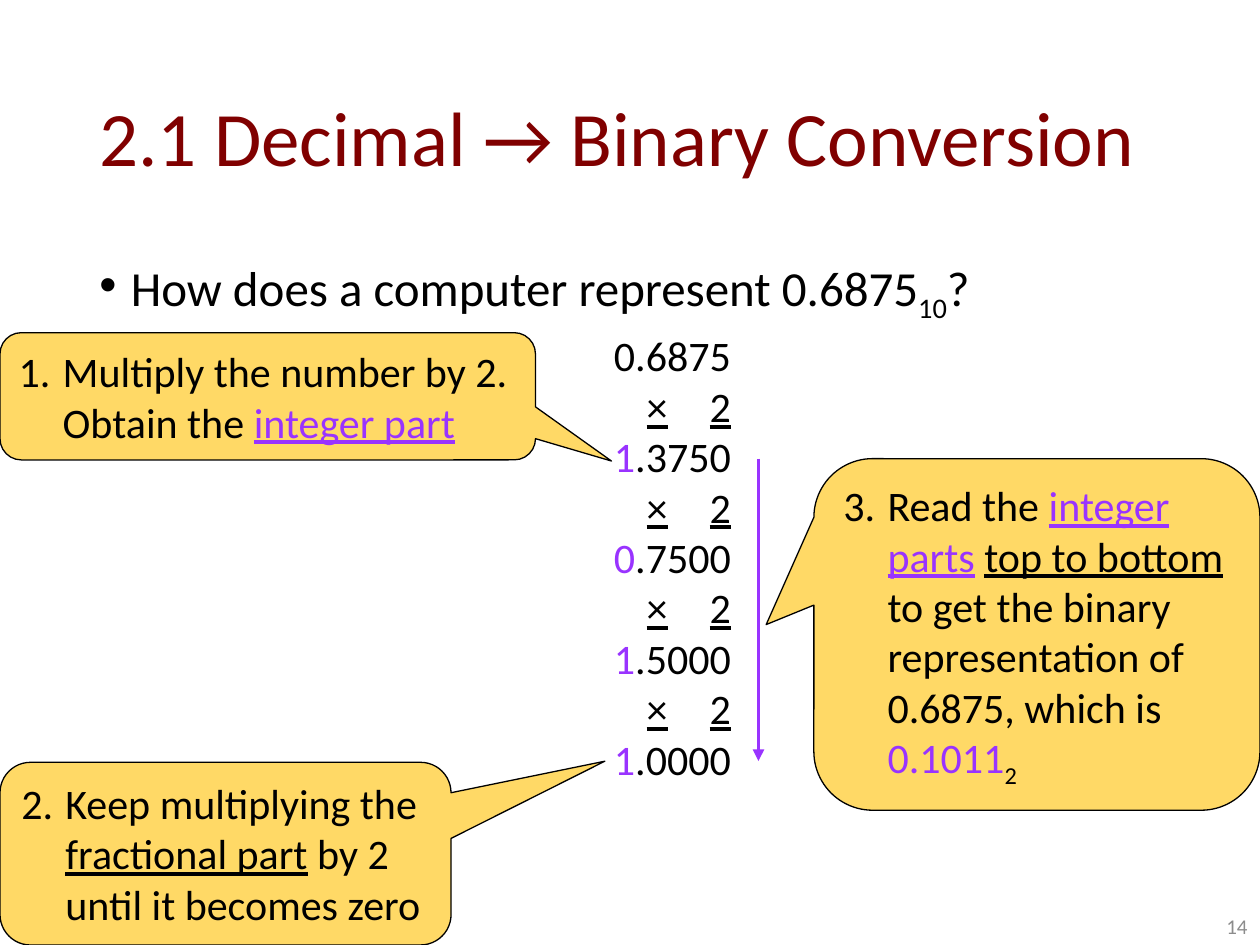
"""Build the slide on converting a decimal fraction to binary."""
from dataclasses import dataclass, field
from typing import NamedTuple

from lxml import etree
from pptx import Presentation
from pptx.dml.color import RGBColor
from pptx.enum.shapes import MSO_CONNECTOR, MSO_SHAPE
from pptx.enum.text import MSO_ANCHOR, MSO_AUTO_SIZE, PP_ALIGN
from pptx.oxml.ns import qn
from pptx.util import Inches, Pt

BLACK = RGBColor(0x00, 0x00, 0x00)
MAROON = RGBColor(0x80, 0x00, 0x00)
PURPLE = RGBColor(0x99, 0x33, 0xFF)
YELLOW = RGBColor(0xFF, 0xD9, 0x66)
GRAY = RGBColor(0x8C, 0x8C, 0x8C)
LEFT, RIGHT = PP_ALIGN.LEFT, PP_ALIGN.RIGHT
TOP, MIDDLE, BOTTOM = MSO_ANCHOR.TOP, MSO_ANCHOR.MIDDLE, MSO_ANCHOR.BOTTOM
CALLOUT, STRAIGHT = MSO_SHAPE.ROUNDED_RECTANGULAR_CALLOUT, MSO_CONNECTOR.STRAIGHT
NO_FIT = MSO_AUTO_SIZE.NONE

FONT = "Calibri"
COLUMNS, ROWS = 100, 75
CELL = Inches(0.1)


class Area(NamedTuple):
    """Left, top, width and height in grid cells."""
    column: float
    row: float
    columns: float
    rows: float

    def lengths(self) -> list[int]:
        """Convert the grid cells to slide lengths."""
        return [round(cells * CELL) for cells in self]


class Piece(NamedTuple):
    """A stretch of text with one look."""
    text: str
    color: RGBColor = BLACK
    underline: bool = False
    subscript: bool = False


@dataclass
class Line:
    """A paragraph with its marker and spacing."""
    pieces: list[Piece]
    size: int = 24
    align: PP_ALIGN = LEFT
    spacing: float = 1.0
    indent: float = 0
    marker: tuple[str, dict[str, str]] | None = None


@dataclass
class Step:
    """A numbered callout pointing into the calculation."""
    number: int
    area: Area
    pointer: tuple[float, float]
    pieces: list[Piece] = field(default_factory=list)
    anchor: MSO_ANCHOR = MIDDLE


def write_lines(frame, lines: list[Line], anchor: MSO_ANCHOR, wrap: bool = True) -> None:
    """Fill a text frame with paragraphs."""
    frame_format = {"word_wrap": wrap, "auto_size": NO_FIT, "vertical_anchor": anchor}
    for name, value in frame_format.items():
        setattr(frame, name, value)
    for position, line in enumerate(lines):
        paragraph = frame.add_paragraph() if position else frame.paragraphs[0]
        if line.marker:
            properties = paragraph._p.get_or_add_pPr()
            hang = Inches(line.indent)
            properties.set("marL", str(hang))
            properties.set("indent", str(-hang))
            tag, attributes = line.marker
            if tag == "a:buChar":
                etree.SubElement(properties, qn("a:buFont"), typeface="Arial")
            etree.SubElement(properties, qn(tag), attributes)
        paragraph_format = {"alignment": line.align, "line_spacing": line.spacing,
                            "space_before": Pt(0)}
        for name, value in paragraph_format.items():
            setattr(paragraph, name, value)
        for piece in line.pieces:
            run = paragraph.add_run()
            run.text = piece.text
            run_format = {"name": FONT, "size": Pt(line.size), "underline": piece.underline}
            for name, value in run_format.items():
                setattr(run.font, name, value)
            run.font.color.rgb = piece.color
            if piece.subscript:
                run._r.get_or_add_rPr().set("baseline", "-25000")


def add_text(slide, area: Area, lines: list[Line], anchor: MSO_ANCHOR = TOP,
             wrap: bool = True) -> None:
    """Place a text box."""
    write_lines(slide.shapes.add_textbox(*area.lengths()).text_frame, lines, anchor, wrap)


def add_step(slide, step: Step) -> None:
    """Place a numbered callout."""
    callout = slide.shapes.add_shape(CALLOUT, *step.area.lengths())
    callout.shadow.inherit = False
    callout.fill.solid()
    callout.fill.fore_color.rgb = YELLOW
    callout.line.color.rgb = BLACK
    callout.line.width = Pt(0.75)
    for position, share in enumerate((*step.pointer, 0.167)):
        callout.adjustments[position] = share
    numbering = {"type": "arabicPeriod", "startAt": str(step.number)}
    line = Line(step.pieces, indent=0.35, marker=("a:buAutoNum", numbering))
    write_lines(callout.text_frame, [line], step.anchor)


def add_reading_arrow(slide, column: float, first_row: float, last_row: float) -> None:
    """Draw the downward arrow beside the integer parts."""
    x, start, end = (round(cells * CELL) for cells in (column, first_row, last_row))
    arrow = slide.shapes.add_connector(STRAIGHT, x, start, x, end)
    arrow.line.color.rgb = PURPLE
    arrow.line.width = Pt(2.25)
    properties = arrow._element.spPr
    etree.SubElement(properties.find(qn("a:ln")), qn("a:tailEnd"), type="triangle")
    etree.SubElement(properties, qn("a:effectLst"))


def calculation(start: str, products: list[str]) -> list[Line]:
    """List the repeated doublings, with each integer part highlighted."""
    rows = [[Piece(start)]]
    for product in products:
        rows.append([Piece("×\t2", underline=True)])
        rows.append([Piece(product[0], PURPLE), Piece(product[1:])])
    return [Line(row, align=RIGHT) for row in rows]


STEPS = [
    Step(1, Area(0, 26.4, 42.5, 10.1), (0.642, 0.509), [
        Piece("Multiply the number by 2. Obtain the "),
        Piece("integer part", PURPLE, underline=True)]),
    Step(3, Area(64.6, 36.4, 35.4, 27.9), (-0.607, -0.028), [
        Piece("Read the "),
        Piece("integer parts", PURPLE, underline=True),
        Piece(" "),
        Piece("top to bottom", underline=True),
        Piece(" to get the binary representation of 0.6875, which is "),
        Piece("0.1011", PURPLE),
        Piece("2", subscript=True)]),
    Step(2, Area(0, 60.5, 35.8, 14.5), (0.841, -0.506), [
        Piece("Keep multiplying the "),
        Piece("fractional part", underline=True),
        Piece(" by 2 until it becomes zero")], TOP),
]


def main() -> None:
    """Build and save the slide."""
    deck = Presentation()
    deck.slide_width, deck.slide_height = COLUMNS * CELL, ROWS * CELL
    slide = deck.slides.add_slide(deck.slide_layouts[6])
    title = Piece("2.1 Decimal → Binary Conversion", MAROON)
    add_text(slide, Area(6.9, 4, 86.2, 14.5), [Line([title], 44, spacing=0.9)], MIDDLE)
    question = [Piece("How does a computer represent 0.6875"),
                Piece("10", subscript=True), Piece("?")]
    add_text(slide, Area(6.9, 20, 86.2, 47.6), [
        Line(question, 28, spacing=0.9, indent=0.25, marker=("a:buChar", {"char": "•"}))])
    add_text(slide, Area(77.5, 71, 22.5, 4), [Line([Piece("14", GRAY)], 12, RIGHT)], BOTTOM)
    products = ["1.3750", "0.7500", "1.5000", "1.0000"]
    add_text(slide, Area(45.3, 25.7, 13.7, 37.4), calculation("0.6875", products), wrap=False)
    for step in STEPS:
        add_step(slide, step)
    add_reading_arrow(slide, 60.2, 36.4, 60.4)
    deck.save("out.pptx")


if __name__ == "__main__":
    main()
